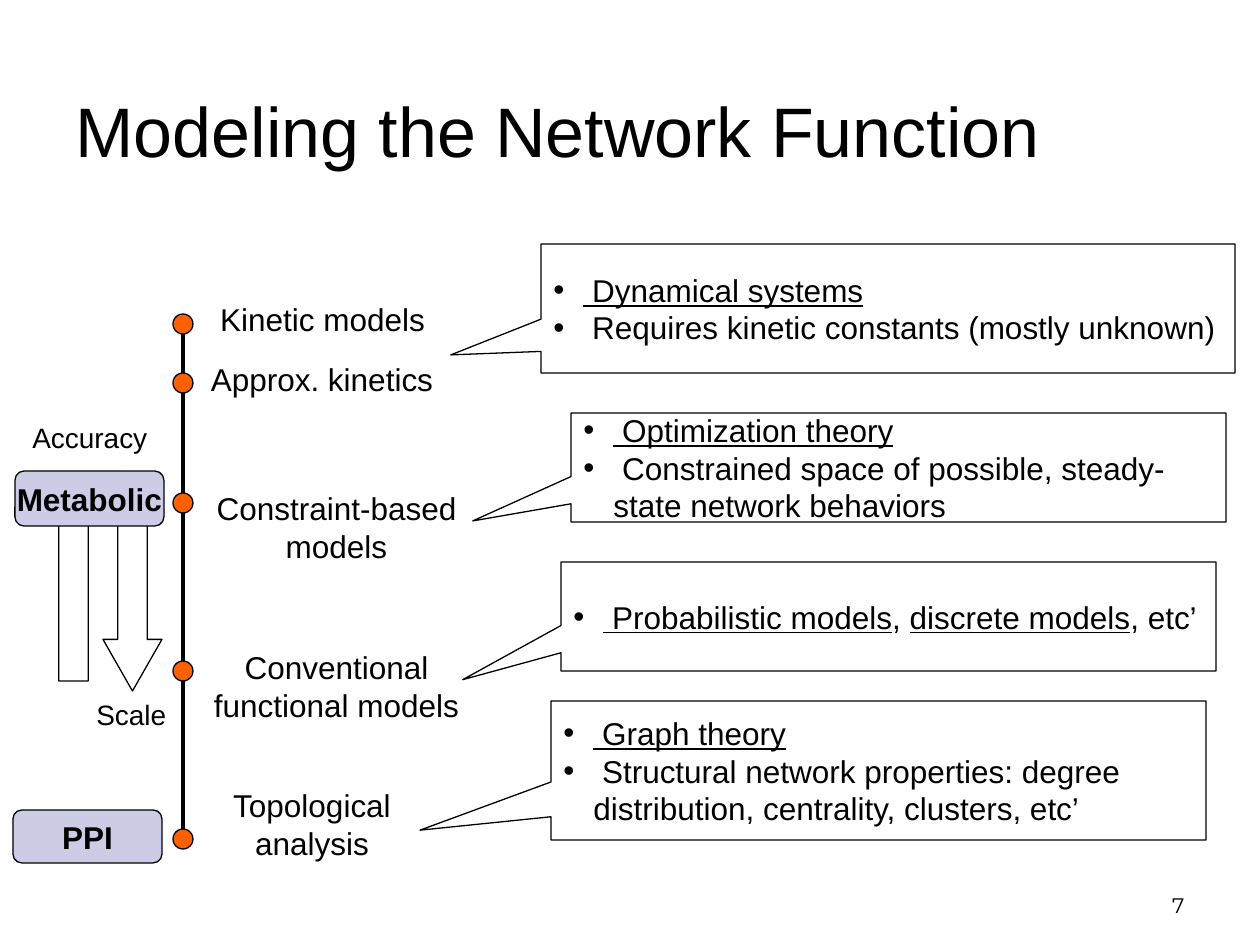
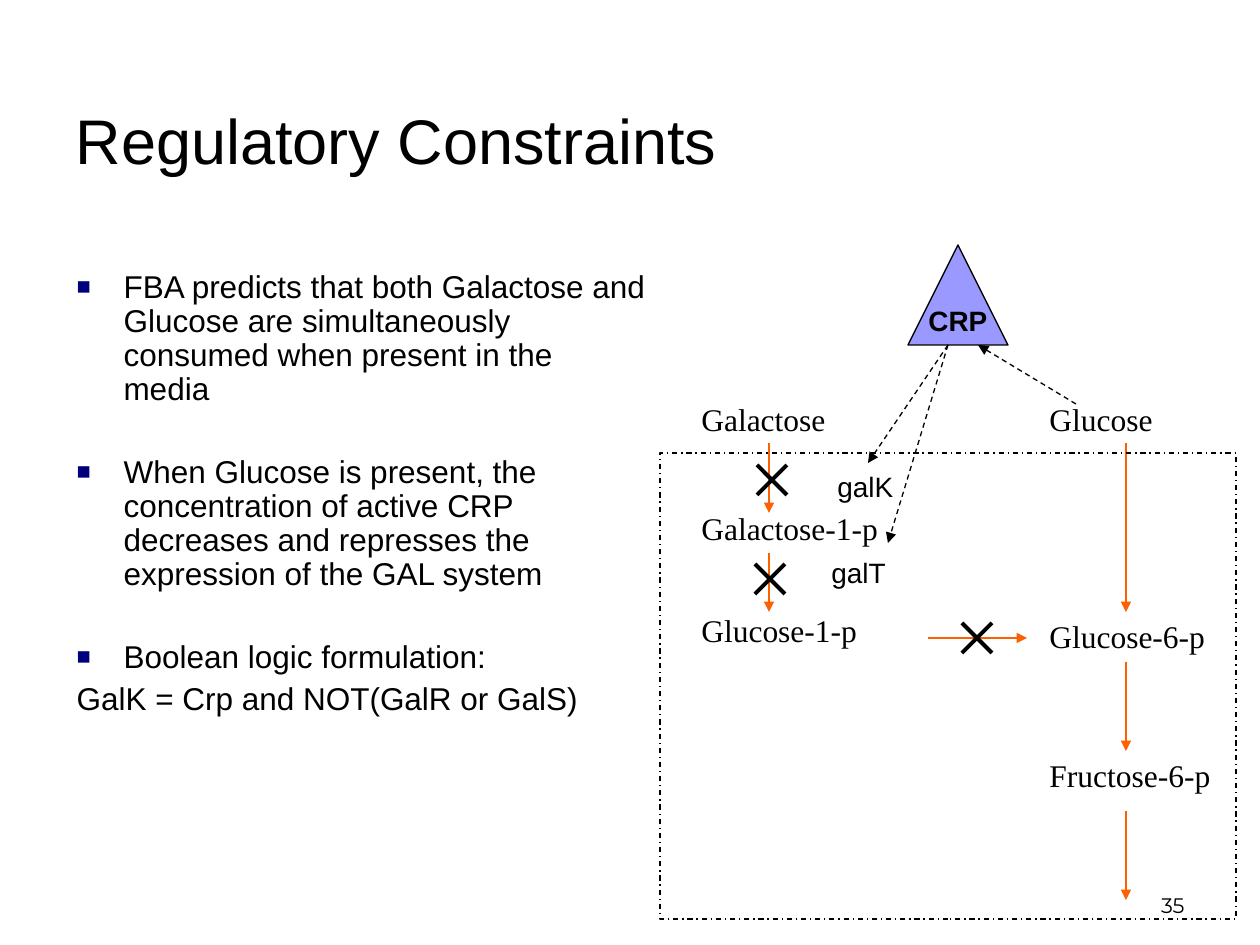
from lxml import etree
from pptx import Presentation
from pptx.dml.color import RGBColor
from pptx.enum import dml, shapes, text
from pptx.oxml import ns
from pptx.util import Pt

EMU_PER_PX = 914400 / 126
BLACK, ORANGE, NAVY = "000000", "FC6000", "00007D"
LAVENDER, PERIWINKLE = "CCCCE6", "9999FF"
SANS, SERIF, NUMBER_FONT = "Arial", "Times New Roman", "Montserrat"
SHAPE, ALIGN, ANCHOR = shapes.MSO_SHAPE, text.PP_ALIGN, text.MSO_ANCHOR


def px(*lengths):
    return [round(length * EMU_PER_PX) for length in lengths]


def color(hex_string):
    return RGBColor.from_string(hex_string)


def add_child(parent, tag, **attributes):
    return etree.SubElement(parent, ns.qn(tag), attributes)


# Text helpers
def style(paragraph, size, font=SANS, bold=False, align=ALIGN.LEFT):
    paragraph.alignment = align
    paragraph.font.size = Pt(size)
    paragraph.font.name = font
    paragraph.font.bold = bold
    paragraph.font.color.rgb = color(BLACK)


def add_bullet(paragraph, char, indent, tint=BLACK, percent=100):
    properties = paragraph._p.get_or_add_pPr()
    hang = px(indent)[0]
    properties.set("marL", str(hang))
    properties.set("indent", str(-hang))
    add_child(add_child(properties, "a:buClr"), "a:srgbClr", val=tint)
    add_child(properties, "a:buSzPct", val=str(percent * 1000))
    add_child(properties, "a:buFont", typeface=SANS)
    add_child(properties, "a:buChar", char=char)


def add_label(slide, words, box, size=18, font=SANS, align=ALIGN.LEFT,
              anchor=ANCHOR.TOP, wrap=False):
    frame = slide.shapes.add_textbox(*px(*box)).text_frame
    frame.word_wrap = wrap
    frame.vertical_anchor = anchor
    frame.text = words
    style(frame.paragraphs[0], size, font, align=align)


# Shape helpers
def add_outlined(slide, kind, box, fill=None, adjustments=()):
    shape = slide.shapes.add_shape(kind, *px(*box))
    shape.shadow.inherit = False
    if fill:
        shape.fill.solid()
        shape.fill.fore_color.rgb = color(fill)
    else:
        shape.fill.background()
    shape.line.color.rgb = color(BLACK)
    shape.line.width = Pt(0.75)
    for index, value in enumerate(adjustments):
        shape.adjustments[index] = value
    return shape


def add_badge(slide, kind, words, box, fill, size):
    frame = add_outlined(slide, kind, box, fill).text_frame
    frame.word_wrap = False
    frame.vertical_anchor = ANCHOR.MIDDLE
    frame.text = words
    style(frame.paragraphs[0], size, bold=True, align=ALIGN.CENTER)


def add_line(slide, ends, tint=BLACK, width=2.25, arrow=False, dash=None):
    line = slide.shapes.add_connector(shapes.MSO_CONNECTOR.STRAIGHT, *px(*ends))
    line.line.color.rgb = color(tint)
    line.line.width = Pt(width)
    if dash:
        line.line.dash_style = dash
    if arrow:
        add_child(line.line._get_or_add_ln(), "a:tailEnd", type="triangle")
    add_child(line._element.spPr, "a:effectLst")


def place(placeholder, box, anchor):
    placeholder.left, placeholder.top, placeholder.width, placeholder.height = px(*box)
    frame = placeholder.text_frame
    frame.auto_size = text.MSO_AUTO_SIZE.NONE
    frame.word_wrap = True
    frame.vertical_anchor = anchor
    return frame


def start_slide(deck, layout, title, box, size, number):
    slide = deck.slides.add_slide(deck.slide_layouts[layout])
    frame = place(slide.shapes.title, box, ANCHOR.MIDDLE)
    frame.text = title
    style(frame.paragraphs[0], size)
    add_label(slide, number, (904, 861, 293, 63), 12, NUMBER_FONT,
              ALIGN.RIGHT, ANCHOR.BOTTOM)
    return slide


# Model spectrum slide
def add_callout(slide, box, tip, bullets):
    """Each bullet is a list of (words, underlined) runs."""
    callout = add_outlined(slide, SHAPE.RECTANGULAR_CALLOUT, box, adjustments=tip)
    frame = callout.text_frame
    frame.word_wrap = True
    frame.vertical_anchor = ANCHOR.MIDDLE
    for index, runs in enumerate(bullets):
        paragraph = frame.add_paragraph() if index else frame.paragraphs[0]
        add_bullet(paragraph, "•", 30)
        style(paragraph, 18)
        for words, underlined in runs:
            run = paragraph.add_run()
            run.text = words
            run.font.underline = underlined


def add_scale_arrows(slide, left, top):
    arrow_size, head = (59, 208), (0.5, 0.875)
    add_outlined(slide, SHAPE.UP_ARROW, (left, top, *arrow_size), adjustments=head)
    add_outlined(slide, SHAPE.DOWN_ARROW, (left + 59, top + 10, *arrow_size),
                 adjustments=head)
    add_label(slide, "Accuracy", (left - 24, top - 59, 208, 47), 16)
    add_label(slide, "Scale", (left + 40, top + 218, 123, 47), 16)


def add_model_axis(slide, center):
    dot = 20
    models = [
        (324, "Kinetic models", (184, 294, 277, 50)),
        (383, "Approx. kinetics", (84, 354, 476, 50)),
        (503, "Constraint-based models", (193, 483, 287, 88)),
        (671, "Conventional functional models", (193, 642, 287, 88)),
        (839, "Topological analysis", (203, 780, 218, 88)),
    ]
    add_line(slide, (center, models[-1][0], center, models[0][0]))
    for y, name, box in models:
        add_outlined(slide, SHAPE.OVAL, (center - dot / 2, y - dot / 2, dot, dot), ORANGE)
        add_label(slide, name, box, align=ALIGN.CENTER, wrap=True)


def build_modeling(deck):
    slide = start_slide(deck, 5, "Modeling the Network Function",
                        (63, 35, 1134, 189), 40, "7")
    add_scale_arrows(slide, 44, 473)
    add_model_axis(slide, 183)
    callouts = [
        ((541, 244, 694, 129), (-0.63, 0.36),
         [[(" Dynamical systems", True)],
          [(" Requires kinetic constants (mostly unknown)", False)]]),
        ((571, 413, 655, 109), (-0.65, 0.49),
         [[(" Optimization theory", True)],
          [(" Constrained space of possible, steady-state network behaviors", False)]]),
        ((561, 562, 655, 109), (-0.65, 0.58),
         [[(" Probabilistic models", True), (", ", False),
           ("discrete models", True), (", etc’", False)]]),
        ((551, 701, 655, 139), (-0.7, 0.43),
         [[(" Graph theory", True)],
          [(" Structural network properties: degree distribution, "
            "centrality, clusters, etc’", False)]]),
    ]
    for callout in callouts:
        add_callout(slide, *callout)
    for network, box in [("Metabolic", (15, 471, 149, 55)), ("PPI", (13, 810, 149, 53))]:
        add_badge(slide, SHAPE.ROUNDED_RECTANGLE, network, box, LAVENDER, 18)


# Regulation slide
def fill_findings(body, box):
    frame = place(body, box, ANCHOR.TOP)
    findings = [
        ("FBA predicts that both Galactose and Glucose are simultaneously "
         "consumed when present in the media", 0, True),
        ("When Glucose is present, the concentration of active CRP decreases "
         "and represses the expression of the GAL system", 28, True),
        ("Boolean logic formulation:", 28, True),
        ("GalK = Crp and NOT(GalR or GalS)", 4.5, False),
    ]
    for index, (words, gap, bulleted) in enumerate(findings):
        paragraph = frame.add_paragraph() if index else frame.paragraphs[0]
        paragraph.text = words
        if bulleted:
            add_bullet(paragraph, "■", 47, NAVY, 75)
        else:
            properties = paragraph._p.get_or_add_pPr()
            properties.set("marL", "0")
            properties.set("indent", "0")
            add_child(properties, "a:buNone")
        paragraph.line_spacing = 0.9
        paragraph.space_before = Pt(gap)
        style(paragraph, 18)


def add_cross(slide, left, top, side=30):
    right, bottom = left + side, top + side
    add_line(slide, (left, top, right, bottom))
    add_line(slide, (left, bottom, right, top))


def add_pathway(slide, left, top):
    """Places the sugar pathway relative to the corner of the cell boundary."""
    def at(x, y):
        return left + x, top + y

    metabolites = [
        ("Galactose", 29, -59), ("Galactose-1-p", 29, 50), ("Glucose-1-p", 29, 152),
        ("Glucose", 377, -59), ("Glucose-6-p", 377, 158), ("Fructose-6-p", 377, 297),
    ]
    for name, x, y in metabolites:
        add_label(slide, name, (*at(x, y), 208, 50), font=SERIF)
    for gene, x, y in [("galK", 165, 10), ("galT", 159, 96)]:
        add_label(slide, gene, (*at(x, y), 118, 47), 16)

    reactions = [
        (109, -10, 109, 60), (109, 100, 109, 159), (268, 185, 367, 185),
        (466, -10, 466, 159), (466, 209, 466, 298), (466, 358, 466, 447),
    ]
    for x1, y1, x2, y2 in reactions:
        add_line(slide, (*at(x1, y1), *at(x2, y2)), ORANGE, 1.5, arrow=True)
    for x, y in [(97, 12), (95, 111), (302, 170)]:
        add_cross(slide, *at(x, y))

    # Regulator and its signals
    add_badge(slide, SHAPE.ISOSCELES_TRIANGLE, "CRP", (*at(248, -208), 100, 100),
              PERIWINKLE, 16)
    signals = [(416, -49, 318, -108), (288, -108, 228, 90), (288, -108, 208, 10)]
    for x1, y1, x2, y2 in signals:
        add_line(slide, (*at(x1, y1), *at(x2, y2)), width=0.75, arrow=True,
                 dash=dml.MSO_LINE.DASH)

    boundary = add_outlined(slide, SHAPE.RECTANGLE, (left, top, 576, 466))
    boundary.line.dash_style = dml.MSO_LINE.DASH_DOT


def build_regulation(deck):
    slide = start_slide(deck, 1, "Regulatory Constraints",
                        (63, 45, 1172, 189), 36, "35")
    fill_findings(slide.placeholders[1], (64, 265, 595, 486))
    add_pathway(slide, 660, 453)


def main():
    deck = Presentation()
    deck.slide_width, deck.slide_height = px(1260, 945)
    build_modeling(deck)
    build_regulation(deck)
    deck.save("out.pptx")


if __name__ == "__main__":
    main()
